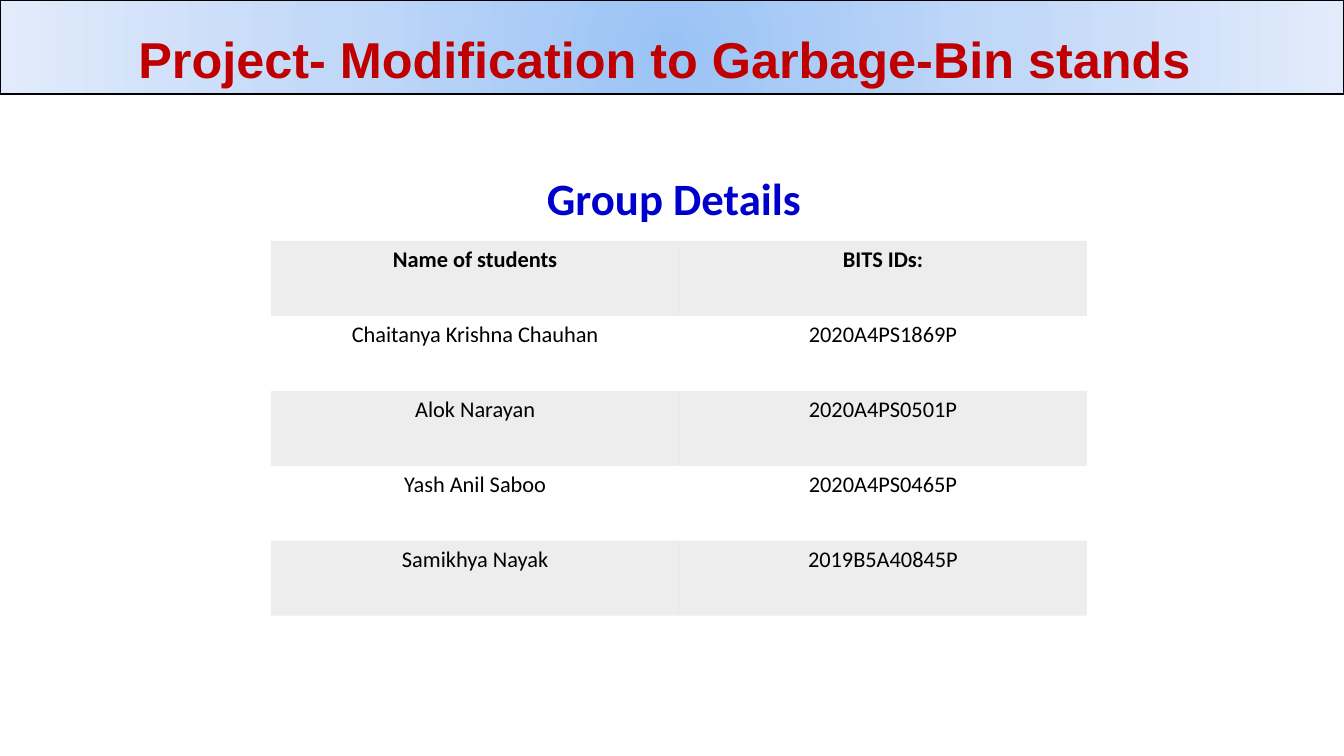
from dataclasses import dataclass

from pptx import Presentation
from pptx.dml.color import RGBColor as Rgb
from pptx.enum.shapes import MSO_SHAPE as Shape
from pptx.enum.text import MSO_ANCHOR as Anchor, PP_ALIGN as Align
from pptx.oxml import parse_xml
from pptx.oxml.ns import nsdecls, qn
from pptx.util import Inches, Pt


@dataclass(frozen=True)
class Theme:
    """Colours, fonts and type sizes of the slide."""
    red: str = "C00000"
    blue: str = "0000CC"
    black: str = "000000"
    band: str = "A5A5A5"
    glow: tuple = ((0, "9AC3F5"), (50, "C2D8F8"), (100, "E1EBFB"))
    head: str = "Arial"
    body: str = "Calibri"
    big: int = 36
    mid: int = 32
    small: int = 16


THEME = Theme()
PLAIN = "{2D5ABB26-0587-4C30-8999-92F81FD0307C}"
TITLE = "Project- Modification to Garbage-Bin stands "
GROUP = "Group Details "
ROWS = [
    ("Name of students", "BITS IDs:"),
    ("Chaitanya Krishna Chauhan", "2020A4PS1869P"),
    ("Alok Narayan", "2020A4PS0501P"),
    ("Yash Anil Saboo", "2020A4PS0465P"),
    ("Samikhya Nayak", "2019B5A40845P"),
]


def write(frame, text, size=THEME.small, font=THEME.body, color=THEME.black,
          bold=False, space=None):
    """Put one centred, formatted line into a text frame."""
    para = frame.paragraphs[0]
    para.alignment = Align.CENTER
    para.line_spacing = space
    run = para.add_run()
    run.text = text
    run.font.size = Pt(size)
    run.font.name = font
    run.font.bold = bold
    run.font.color.rgb = Rgb.from_string(color)


def glow(shape, stops):
    """Fill a shape with a circular gradient from its centre."""
    shape.fill.background()
    marks = "".join(
        f'<a:gs pos="{pos * 1000}"><a:srgbClr val="{color}"/></a:gs>'
        for pos, color in stops)
    grad = parse_xml(
        f'<a:gradFill {nsdecls("a")} rotWithShape="1"><a:gsLst>{marks}</a:gsLst>'
        '<a:path path="circle"><a:fillToRect l="50000" t="50000" r="50000" '
        'b="50000"/></a:path></a:gradFill>')
    props = shape.fill._xPr
    props.replace(props.find(qn("a:noFill")), grad)


def tint(cell, color, alpha):
    """Fill a cell with a see-through colour, alpha in percent."""
    cell.fill.solid()
    cell.fill.fore_color.rgb = Rgb.from_string(color)
    tone = cell._tc.tcPr.find(".//" + qn("a:srgbClr"))
    tone.append(parse_xml(f'<a:alpha {nsdecls("a")} val="{alpha * 1000}"/>'))


def banner(slide, text, width):
    """Draw the title bar across the top."""
    bar = slide.shapes.add_shape(Shape.RECTANGLE, 0, 0, width, Inches(0.93))
    bar.shadow.inherit = False
    glow(bar, THEME.glow)
    bar.line.color.rgb = Rgb.from_string(THEME.black)
    bar.line.width = Pt(1.5)
    frame = bar.text_frame
    frame.word_wrap = True
    frame.vertical_anchor = Anchor.BOTTOM
    write(frame, text, size=THEME.big, font=THEME.head, color=THEME.red,
          bold=True, space=1.5)


def roster(slide, title, rows):
    """Draw the table: a merged title row above banded rows."""
    table = slide.shapes.add_table(
        len(rows) + 1, 2, Inches(2.69), Inches(1.66),
        Inches(8.09), Inches(4.46)).table
    table.first_row = table.horz_banding = False
    table._tbl.tblPr.find(qn("a:tableStyleId")).text = PLAIN
    for row in table.rows:
        row.height = Inches(3.72 / len(rows))
    table.rows[0].height = Inches(0.73)

    top = table.cell(0, 0)
    top.merge(table.cell(0, 1))
    top.fill.background()
    write(top.text_frame, title, size=THEME.mid, color=THEME.blue, bold=True)
    for r, row in enumerate(rows, 1):
        for c, text in enumerate(row):
            cell = table.cell(r, c)
            write(cell.text_frame, text, bold=r == 1)
            if r % 2:
                tint(cell, THEME.band, 20)
            else:
                cell.fill.background()


def main():
    """Build the slide and save it."""
    deck = Presentation()
    deck.slide_width = Inches(13.33)
    deck.slide_height = Inches(7.5)
    slide = deck.slides.add_slide(deck.slide_layouts[6])
    banner(slide, TITLE, deck.slide_width)
    roster(slide, GROUP, ROWS)
    deck.save("out.pptx")


if __name__ == "__main__":
    main()
